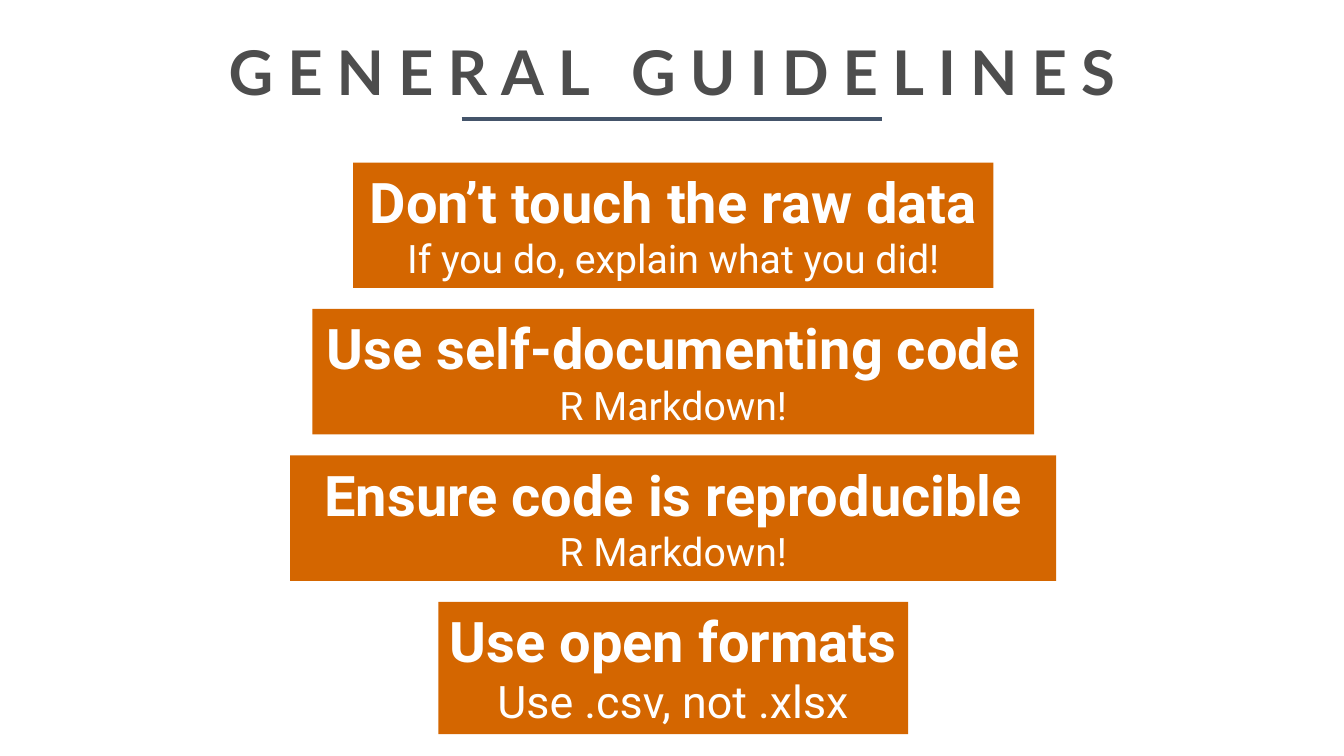
from pptx import Presentation
from pptx.dml.color import RGBColor
from pptx.enum.shapes import MSO_CONNECTOR, MSO_SHAPE
from pptx.enum.text import MSO_ANCHOR, MSO_AUTO_SIZE, PP_ALIGN
from pptx.oxml.ns import qn
from pptx.util import Inches, Pt

ORANGE = RGBColor(0xD4, 0x66, 0x00)
SLATE = RGBColor(0x44, 0x54, 0x6A)
GREY = RGBColor(0x4D, 0x4D, 0x4D)
WHITE = RGBColor(0xFF, 0xFF, 0xFF)

CENTER = PP_ALIGN.CENTER
TOP = MSO_ANCHOR.TOP
MIDDLE = MSO_ANCHOR.MIDDLE
GROW = MSO_AUTO_SIZE.SHAPE_TO_FIT_TEXT
RECTANGLE = MSO_SHAPE.RECTANGLE
STRAIGHT = MSO_CONNECTOR.STRAIGHT

# Lengths are percentages of the slide's width or height
CARD_CENTER, CARD_TOP, CARD_PITCH = 50.09, 21.5, 19.37
GUIDELINES = [
    # heading, detail, detail size, width, height
    ("Don’t touch the raw data", "If you do, explain what you did!", 28, 47.63, 16.6),
    ("Use self-documenting code", "R Markdown!", 28, 53.7, 16.6),
    ("Ensure code is reproducible", "R Markdown!", 28, 57, 16.6),
    ("Use open formats", "Use .csv, not .xlsx", 32, 34.95, 17.5),
]


class GuidelineSlide:
    title_format = {"name": "Lato", "size": Pt(44), "bold": True}
    heading_format = {"name": "Roboto", "size": Pt(40), "bold": True}
    detail_format = {"name": "Roboto", "bold": False}
    card_format = {"word_wrap": True, "auto_size": GROW, "vertical_anchor": TOP}

    def __init__(self, presentation):
        self.width = presentation.slide_width
        self.height = presentation.slide_height
        self.slide = presentation.slides.add_slide(presentation.slide_layouts[6])

    def across(self, share):
        return round(self.width * share / 100)

    def down(self, share):
        return round(self.height * share / 100)

    def box(self, left, top, width, height):
        return self.across(left), self.down(top), self.across(width), self.down(height)

    def add_text(self, paragraph, text, color, formats):
        paragraph.alignment = CENTER
        run = paragraph.add_run()
        run.text = text
        for name, value in formats.items():
            setattr(run.font, name, value)
        run.font.color.rgb = color
        return run

    def title(self, text, *place):
        frame = self.slide.shapes.add_textbox(*self.box(*place)).text_frame
        frame.word_wrap = True
        frame.vertical_anchor = MIDDLE
        paragraph = frame.paragraphs[0]
        paragraph.line_spacing = 1.1
        run = self.add_text(paragraph, text, GREY, self.title_format)
        # Letter spacing in hundredths of a point
        run.font._element.set("spc", "1000")

    def rule(self, start, end, level):
        y = self.down(level)
        line = self.slide.shapes.add_connector(
            STRAIGHT, self.across(start), y, self.across(end), y)
        line.line.color.rgb = SLATE
        line.line.width = Pt(3)
        properties = line._element.spPr
        properties.append(properties.makeelement(qn("a:effectLst"), {}))

    def card(self, heading, detail, detail_size, *place):
        shape = self.slide.shapes.add_shape(RECTANGLE, *self.box(*place))
        shape.shadow.inherit = False
        shape.fill.solid()
        shape.fill.fore_color.rgb = ORANGE
        shape.line.fill.background()
        frame = shape.text_frame
        for name, value in self.card_format.items():
            setattr(frame, name, value)
        self.add_text(frame.paragraphs[0], heading, WHITE, self.heading_format)
        self.add_text(frame.add_paragraph(), detail, WHITE,
                      {**self.detail_format, "size": Pt(detail_size)})


def main():
    presentation = Presentation()
    presentation.slide_width = Inches(13.33)
    presentation.slide_height = Inches(7.5)
    page = GuidelineSlide(presentation)

    # Title and underline
    page.title("GENERAL GUIDELINES", 6.9, 2.27, 86.25, 13.33)
    page.rule(34.35, 65.63, 15.73)

    # Centred cards, evenly stacked
    for row, (heading, detail, size, width, height) in enumerate(GUIDELINES):
        page.card(heading, detail, size, CARD_CENTER - width / 2,
                  CARD_TOP + row * CARD_PITCH, width, height)

    presentation.save("out.pptx")


if __name__ == "__main__":
    main()
